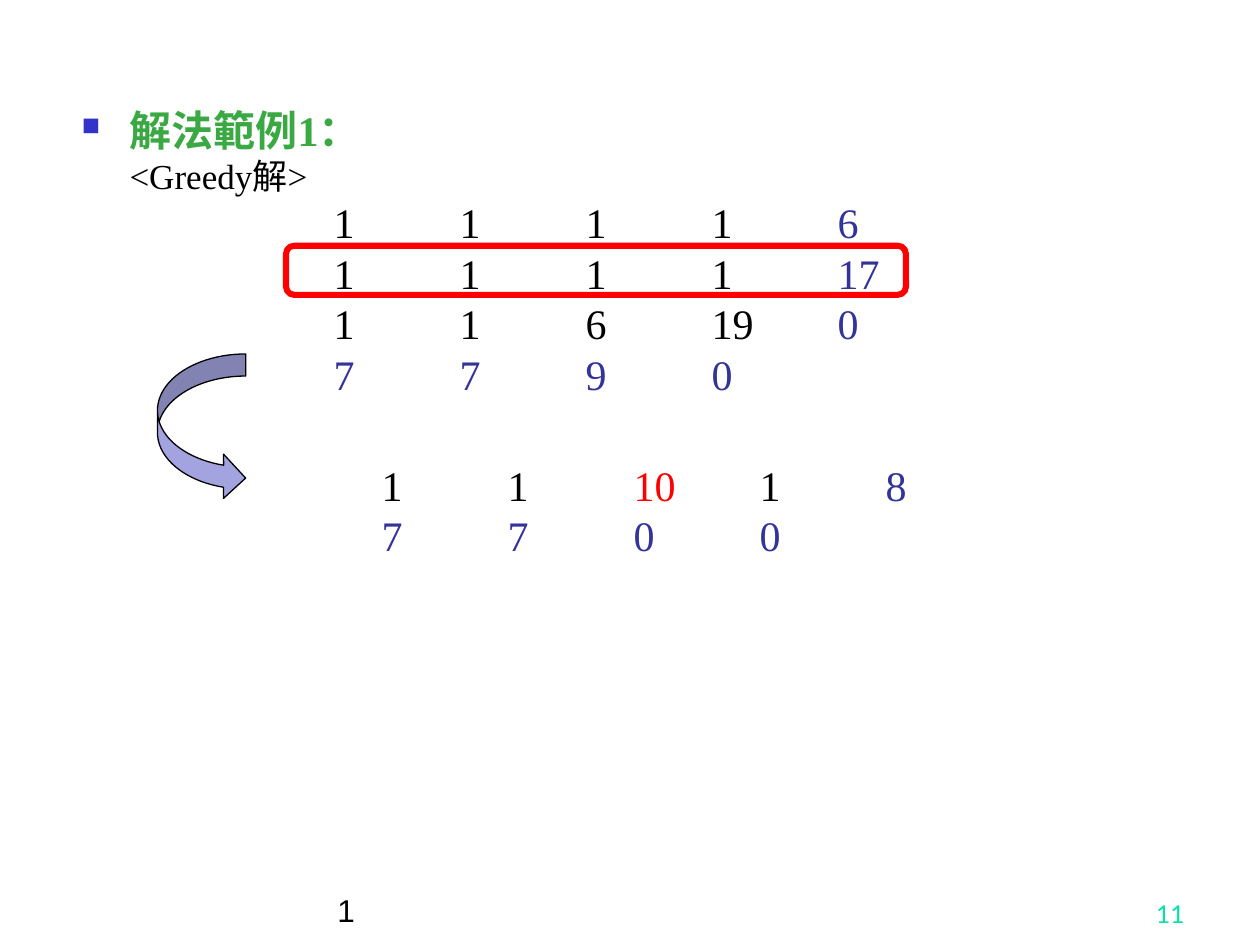
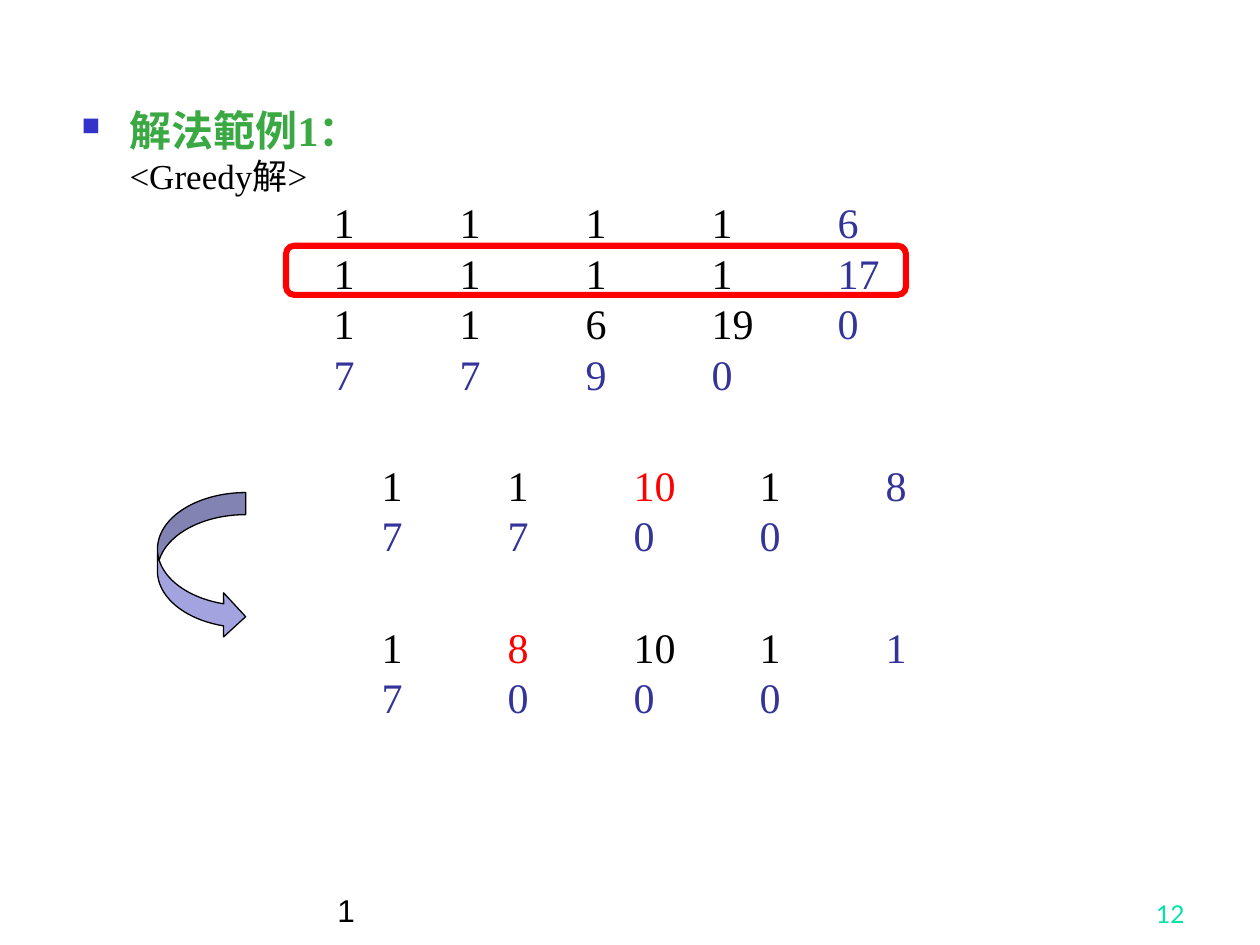
from lxml import etree
from pptx import Presentation
from pptx import util as u
from pptx.dml.color import RGBColor
from pptx.enum import shapes, text
from pptx.oxml.ns import qn

# Content: matrices carry their column sums in the last row, row sums in the last column
HEADING = "解法範例1："
SUBHEADING = "<Greedy解>"
FOOTER = "1"
START = {"rows": [[1, 1, 1, 1, 6], [1, 1, 1, 1, 17], [1, 1, 6, 19, 0], [7, 7, 9, 0]],
         "chosen": None, "left": 2.0, "gap": 0}
STEP_1 = {"rows": [[1, 1, 10, 1, 8], [7, 7, 0, 0]],
          "chosen": (0, 2), "left": 2.38, "gap": 34.8}
STEP_2 = {"rows": [[1, 8, 10, 1, 1], [7, 0, 0, 0]],
          "chosen": (0, 1), "left": 2.38, "gap": 34.8}
PAGES = [
    {"number": 11, "matrices": [START, STEP_1], "arrow_top": 2.81},
    {"number": 12, "matrices": [START, STEP_1, STEP_2], "arrow_top": 3.91},
]

# Shared style
COLORS = {"heading": "3BA943", "body": "000000", "sum": "333399", "chosen": "FF0000",
          "bullet": "3333CC", "arrow": "A3A3E0", "number": "00E4A8"}
SERIF, SANS, NUMBER_FONT = "Times New Roman", "Arial", "Lato"
INDENT = 0.38
COLUMN = 1.0
LAST_COLUMN = 4
ROW_PITCH = 28.8
FOOTER_TOP, FOOTER_HEIGHT = 6.92, 0.5


def color(name):
    return RGBColor.from_string(COLORS[name])


def add_text(paragraph, words, size=24, font=SERIF, tint="body", bold=False):
    run = paragraph.add_run()
    run.text = words
    run.font.size = u.Pt(size)
    run.font.name = font
    run.font.bold = bold
    run.font.color.rgb = color(tint)


def add_box(slide, left, top, width, height, anchor=text.MSO_ANCHOR.TOP):
    frame = slide.shapes.add_textbox(*map(u.Inches, (left, top, width, height))).text_frame
    frame.word_wrap = True
    frame.vertical_anchor = anchor
    return frame


def add_property(parent, tag, **attributes):
    return etree.SubElement(parent, qn(tag), attributes)


def set_indent(paragraph, hanging):
    properties = paragraph._p.get_or_add_pPr()
    properties.set("marL", str(u.Inches(INDENT)))
    properties.set("indent", str(-u.Inches(INDENT) if hanging else 0))
    return properties


def add_heading(frame):
    heading = frame.paragraphs[0]
    properties = set_indent(heading, hanging=True)
    add_property(add_property(properties, "a:buClr"), "a:srgbClr", val=COLORS["bullet"])
    add_property(properties, "a:buSzPct", val="60000")
    add_property(properties, "a:buChar", char="■")
    heading.line_spacing = u.Pt(ROW_PITCH)
    add_text(heading, HEADING, tint="heading", bold=True)

    subheading = frame.add_paragraph()
    set_indent(subheading, hanging=False)
    subheading.line_spacing = u.Pt(24)
    add_text(subheading, SUBHEADING, size=20)


def add_matrix(frame, matrix):
    last_row = len(matrix["rows"]) - 1
    for r, values in enumerate(matrix["rows"]):
        line = frame.add_paragraph()
        stops = add_property(line._p.get_or_add_pPr(), "a:tabLst")
        for c in range(LAST_COLUMN + 1):
            position = u.Inches(matrix["left"] + c * COLUMN)
            add_property(stops, "a:tab", pos=str(position), algn="l")
        line.line_spacing = u.Pt(ROW_PITCH)
        line.space_before = u.Pt(0 if r else matrix["gap"])
        for c, value in enumerate(values):
            if (r, c) == matrix["chosen"]:
                tint = "chosen"
            elif r == last_row or c == LAST_COLUMN:
                tint = "sum"
            else:
                tint = "body"
            add_text(line, f"\t{value}", tint=tint)


def add_shape(slide, kind, bounds, adjustments, line, weight, fill=None):
    shape = slide.shapes.add_shape(kind, *map(u.Inches, bounds))
    shape.shadow.inherit = False
    for i, adjustment in enumerate(adjustments):
        shape.adjustments[i] = adjustment
    if fill:
        shape.fill.solid()
        shape.fill.fore_color.rgb = color(fill)
    else:
        shape.fill.background()
    shape.line.color.rgb = color(line)
    shape.line.width = u.Pt(weight)


def add_footer(slide, number):
    bottom = text.MSO_ANCHOR.BOTTOM
    footer = add_box(slide, 2.58, FOOTER_TOP, 5.42, FOOTER_HEIGHT, bottom)
    add_text(footer.paragraphs[0], FOOTER, size=18, font=SANS)
    page = add_box(slide, 7.42, FOOTER_TOP, 2.08, FOOTER_HEIGHT, bottom).paragraphs[0]
    page.alignment = text.PP_ALIGN.RIGHT
    add_text(page, str(number), size=14, font=NUMBER_FONT, tint="number")


def main():
    deck = Presentation()
    deck.slide_width, deck.slide_height = u.Inches(10), u.Inches(7.5)
    for page in PAGES:
        slide = deck.slides.add_slide(deck.slide_layouts[6])
        # Heading and matrices
        body = add_box(slide, 0.55, 0.78, 8.83, 6.15)
        add_heading(body)
        for matrix in page["matrices"]:
            add_matrix(body, matrix)
        # Frame around the chosen row, arrow to the newest matrix
        add_shape(slide, shapes.MSO_SHAPE.ROUNDED_RECTANGLE, (2.27, 1.95, 4.92, 0.39),
                  [0.167], line="chosen", weight=3.5)
        add_shape(slide, shapes.MSO_SHAPE.CURVED_RIGHT_ARROW,
                  (1.25, page["arrow_top"], 0.7, 1.16), [0.25, 0.5, 0.25],
                  line="body", weight=0.75, fill="arrow")
        add_footer(slide, page["number"])
    deck.save("out.pptx")


if __name__ == "__main__":
    main()
